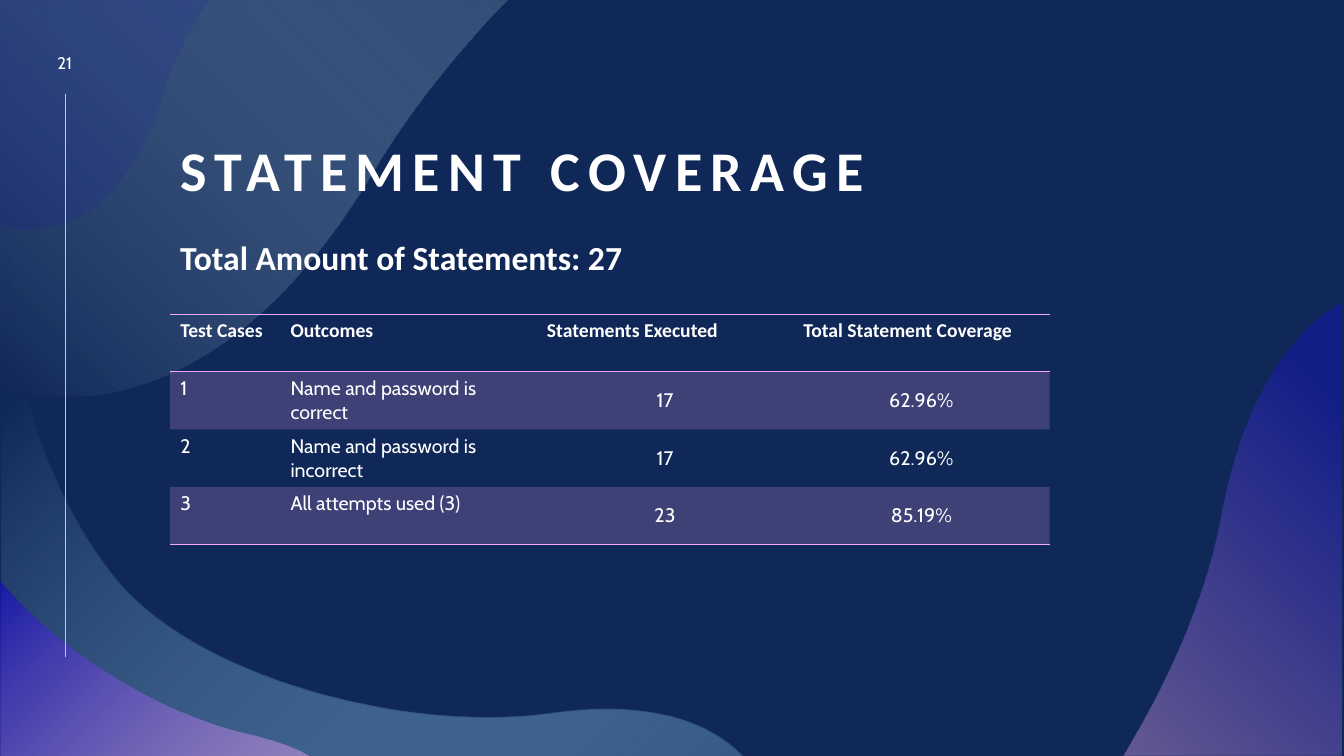
from pptx import Presentation
from pptx.dml.color import RGBColor
from pptx.enum.shapes import MSO_CONNECTOR
from pptx.enum.text import MSO_ANCHOR, MSO_AUTO_SIZE, PP_ALIGN
from pptx.oxml import parse_xml
from pptx.oxml.ns import nsdecls
from pptx.util import Cm, Pt

LEFT, CENTER = PP_ALIGN.LEFT, PP_ALIGN.CENTER
TOP, MIDDLE, BOTTOM = MSO_ANCHOR.TOP, MSO_ANCHOR.MIDDLE, MSO_ANCHOR.BOTTOM
STRAIGHT = MSO_CONNECTOR.STRAIGHT
NO_FIT = MSO_AUTO_SIZE.NONE
NAVY, BLUE, PINK, WHITE = "102857", "180DC2", "F6A6F4", "FFFFFF"
NS = nsdecls("a")
NO_STYLE = "{2D5ABB26-0587-4C30-8999-92F81FD0307C}"


def paint(color, hue, alpha=100):
    color.rgb = RGBColor.from_string(hue)
    if alpha < 100:
        color._color._xClr.append(
            parse_xml(f'<a:alpha {NS} val="{alpha * 1000}"/>'))


def write(frame, text, size=14, face="Cabin", bold=False, align=LEFT,
          space=None):
    para = frame.paragraphs[0]
    para.alignment = align
    if space:
        para.line_spacing = space
    run = para.add_run()
    run.text = text
    run.font.size, run.font.name, run.font.bold = Pt(size), face, bold
    paint(run.font.color, WHITE)
    return run


deck = Presentation()
deck.slide_width, deck.slide_height = Cm(33.87), Cm(19.05)
slide = deck.slides.add_slide(deck.slide_layouts[5])
shapes = slide.shapes
slide.background.fill.solid()
paint(slide.background.fill.fore_color, NAVY)

# Waves: nodes in hundredths of an inch (two numbers a line, six a curve),
# then colour stops (place, hue, alpha) and the gradient's focus
waves = [
    ([(2, 0), (46, 0), (45, 2), (41, 20, 36, 38, 29, 58),
      (-22, 295, 32, 465, 111, 568), (189, 672, 407, 728, 548, 707),
      (634, 695, 693, 711, 729, 742), (737, 750), (2, 750)],
     [(0, "92CDF0", 30), (0.73, NAVY, 100)], 'l="100000" t="100000"'),
    ([(1, 1), (503, 1), (488, 16), (443, 65, 403, 116, 373, 166),
      (263, 353, 134, 409, 23, 390), (1, 384)],
     [(0, NAVY, 56), (0.99, "BEE1F6", 20)], None),
    ([(0, 0), (207, 0), (201, 10), (183, 39, 169, 69, 161, 97),
      (128, 202, 67, 236, 10, 227), (0, 224)],
     [(0, BLUE, 11)], None),
    ([(0, 576), (11, 588), (71, 654, 165, 709, 242, 727),
      (264, 732, 284, 738, 300, 746), (307, 750), (0, 750)],
     [(0, PINK, 45), (0.98, BLUE, 67)], 'l="100000" t="100000"'),
    ([(1331, 299), (1331, 750), (1115, 750), (1127, 729),
      (1169, 656, 1200, 578, 1212, 509), (1231, 409, 1268, 346, 1315, 310)],
     [(0, "F7AFF5", 36), (0.83, "1C0FE1", 35)], 't="100000" r="100000"'),
]
for nodes, stops, focus in waves:
    ends = [node[-2:] for node in nodes]
    pen = shapes.build_freeform(*ends[0], scale=Cm(2.54) / 100)
    pen.add_line_segments(ends[1:], close=True)
    wave = pen.convert_to_shape()
    wave.shadow.inherit = False
    wave.line.fill.background()

    # Bend the segments that have control points
    x0, y0 = min(x for x, y in ends), min(y for x, y in ends)
    parts = wave.element.xpath(".//a:pathLst/a:path/*")
    for part, node in zip(parts, nodes):
        if len(node) == 6:
            dots = "".join(f'<a:pt x="{x - x0}" y="{y - y0}"/>'
                           for x, y in zip(node[::2], node[1::2]))
            part.getparent().replace(part, parse_xml(
                f"<a:cubicBezTo {NS}>{dots}</a:cubicBezTo>"))

    fill = wave.fill
    if len(stops) == 1:
        fill.solid()
        paint(fill.fore_color, *stops[0][1:])
        continue
    fill.gradient()
    fill.gradient_angle = 45
    for stop, (place, hue, alpha) in zip(fill.gradient_stops, stops):
        stop.position = place
        paint(stop.color, hue, alpha)
    if focus:
        lin = wave.element.xpath(".//a:gradFill/a:lin")[0]
        lin.getparent().replace(lin, parse_xml(
            f'<a:path {NS} path="circle"><a:fillToRect {focus}/></a:path>'))

# Side rule and page number
rule = shapes.add_connector(STRAIGHT, Cm(1.65), Cm(2.36), Cm(1.65), Cm(16.56))
rule.line.width = Pt(0.5)
paint(rule.line.color, PINK)
rule.element.spPr.append(parse_xml(f"<a:effectLst {NS}/>"))
page = shapes.add_textbox(Cm(0.91), Cm(1.16), Cm(1.45), Cm(0.86)).text_frame
page.word_wrap = True
page.vertical_anchor = MIDDLE
write(page, "21", size=12, align=CENTER)

# Title, brought in front of the waves
title = shapes.title
title.left, title.top = Cm(4.29), Cm(2.29)
title.width, title.height = Cm(24.66), Cm(2.97)
title.text_frame.auto_size = NO_FIT
title.text_frame.vertical_anchor = BOTTOM
run = write(title.text_frame, "STATEMENT COVERAGE", size=40, face="Calibri",
            bold=True, space=0.9)
run.font._element.set("spc", "600")
title.element.getparent().append(title.element)

# Subtitle
total = shapes.add_textbox(Cm(4.29), Cm(5.97), Cm(19.63), Cm(1.27)).text_frame
total.word_wrap = True
write(total, "Total Amount of Statements: 27", size=24, face="Calibri",
      bold=True, space=0.9)

# Table of test cases
rows = [
    ("Test Cases", "Outcomes", "Statements Executed",
     "Total Statement Coverage"),
    ("1", "Name and password is correct", "17", "62.96%"),
    ("2", "Name and password is incorrect", "17", "62.96%"),
    ("3", "All attempts used (3)", "23", "85.19%"),
]
frame = shapes.add_table(4, 4, Cm(4.29), Cm(7.92), Cm(22.15), Cm(5.8))
frame.element.xpath(".//a:tableStyleId")[0].text = NO_STYLE
table = frame.table
table.first_row = table.horz_banding = False
for col, width in zip(table.columns, (2.78, 6.46, 6.46, 6.46)):
    col.width = Cm(width)
for i, row in enumerate(rows):
    table.rows[i].height = Cm(1.45)
    for j, text in enumerate(row):
        cell = table.cell(i, j)
        head, value = i == 0, i > 0 and j > 1
        cell.vertical_anchor = MIDDLE if value else TOP
        write(cell.text_frame, text, face="Calibri" if head else "Cabin",
              bold=head, align=CENTER if value else LEFT)
        if i % 2:
            cell.fill.solid()
            paint(cell.fill.fore_color, PINK, 20)
        else:
            cell.fill.background()
        for side in {0: ("lnB", "lnT"), 3: ("lnB",)}.get(i, ()):
            cell._tc.get_or_add_tcPr().insert(0, parse_xml(
                f'<a:{side} {NS} w="12700"><a:solidFill>'
                f'<a:srgbClr val="{PINK}"/></a:solidFill></a:{side}>'))

deck.save("out.pptx")
